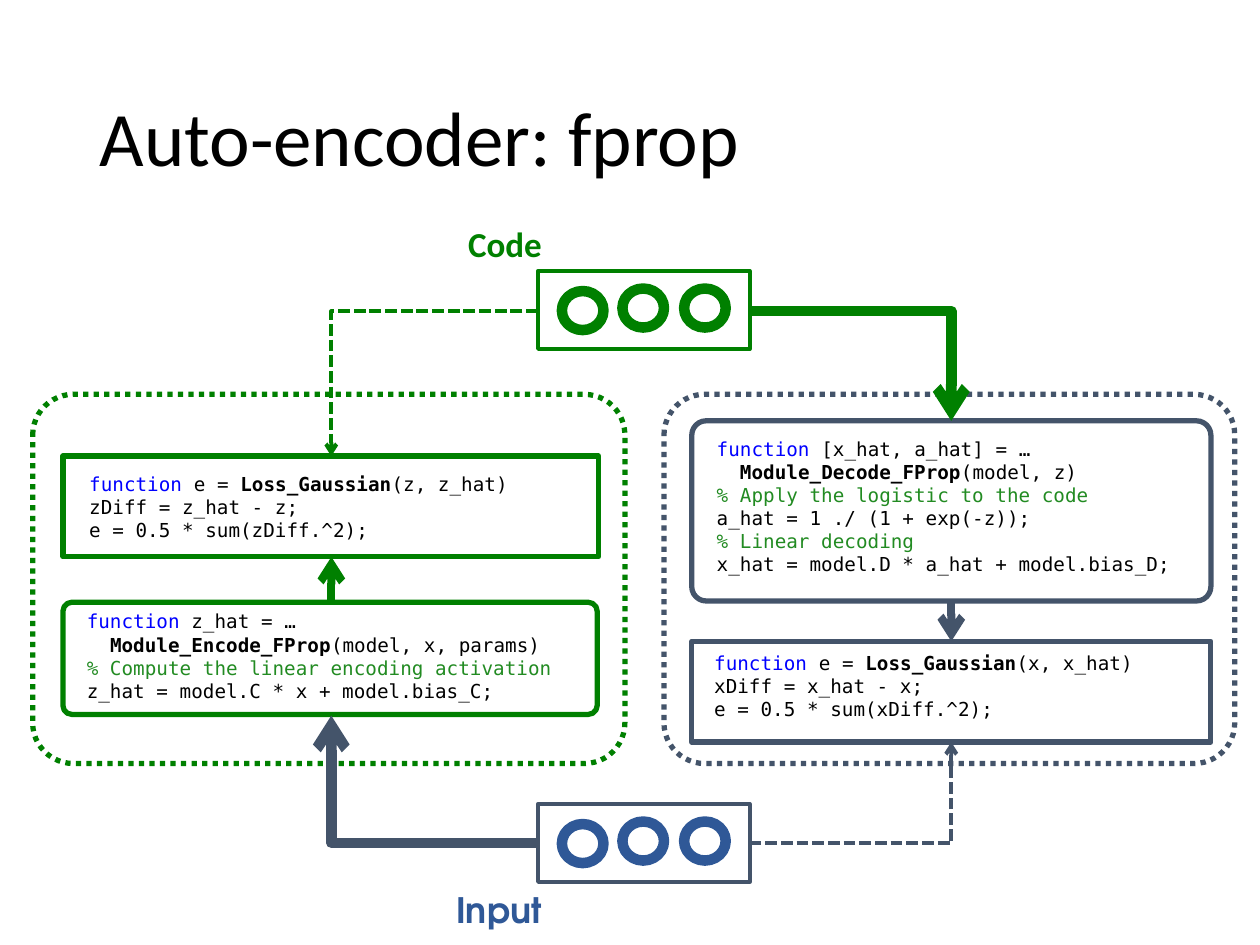
from dataclasses import dataclass

from lxml import etree
from pptx import Presentation
from pptx.dml.color import RGBColor
from pptx.enum import dml, shapes, text
from pptx.oxml.ns import qn
from pptx.util import Inches, Pt


@dataclass(frozen=True)
class Theme:
    black: RGBColor = RGBColor(0, 0, 0)
    green: RGBColor = RGBColor(0x00, 0x80, 0x00)
    slate: RGBColor = RGBColor(0x44, 0x54, 0x6A)
    blue: RGBColor = RGBColor(0x2F, 0x58, 0x97)
    keyword: RGBColor = RGBColor(0x00, 0x00, 0xFF)
    comment: RGBColor = RGBColor(0x22, 0x8B, 0x22)
    title_size: int = 44
    label_size: int = 20
    code_size: int = 11
    sans: str = "Calibri"
    geometric: str = "TeX Gyre Adventor"
    mono: str = "DejaVu Sans Mono"


theme = Theme()
RECT = shapes.MSO_SHAPE.RECTANGLE
ROUND = shapes.MSO_SHAPE.ROUNDED_RECTANGLE
OVAL = shapes.MSO_SHAPE.OVAL
DOTS = dml.MSO_LINE.ROUND_DOT  # written to the file as sysDot
DASHES = dml.MSO_LINE.SQUARE_DOT  # changed to sysDash below


def add_outline(parent, kind, box, color, width, radius=None):
    """Add an unfilled shape; radius is the corner adjustment."""
    shape = parent.add_shape(kind, *map(Inches, box))
    shape.shadow.inherit = False
    shape.fill.background()
    shape.line.color.rgb = color
    shape.line.width = Pt(width)
    if radius is not None:
        shape.adjustments[0] = radius
    return shape


def add_run(paragraph, words, font_name, size, color, bold=False):
    run = paragraph.add_run()
    run.text = words
    run.font.name = font_name
    run.font.size = Pt(size)
    run.font.color.rgb = color
    run.font.bold = bold


presentation = Presentation()
presentation.slide_width = Inches(10)
presentation.slide_height = Inches(7.5)
slide = presentation.slides.add_slide(presentation.slide_layouts[5])

title = slide.shapes.title
title.left, title.top, title.width, title.height = map(Inches, (0.69, 0.4, 8.62, 1.45))
title.text_frame.vertical_anchor = text.MSO_ANCHOR.MIDDLE
paragraph = title.text_frame.paragraphs[0]
paragraph.alignment = text.PP_ALIGN.LEFT
paragraph.line_spacing = 0.9
add_run(paragraph, "Auto-encoder: fprop", theme.sans, theme.title_size, theme.black)

# Encoder and decoder panels, each around a module and a loss
for box, color in [
    ((0.26, 3.13, 4.7, 2.93), theme.green),
    ((5.27, 3.13, 4.53, 2.93), theme.slate),
]:
    panel = add_outline(slide.shapes, ROUND, box, color, 3, radius=0.11)
    panel.line.dash_style = DOTS

for kind, box, color, radius in [
    (ROUND, (0.5, 4.78, 4.24, 0.89), theme.green, 0.08),
    (RECT, (0.5, 3.62, 4.25, 0.8), theme.green, None),
    (ROUND, (5.49, 3.34, 4.12, 1.43), theme.slate, 0.08),
    (RECT, (5.49, 5.09, 4.12, 0.8), theme.slate, None),
]:
    add_outline(slide.shapes, kind, box, color, 3, radius)

# Arrows: bent ones leave sideways and arrive vertically
for start, end, color, width, dashed in [
    ((2.63, 4.78), (2.63, 4.42), theme.green, 4.5, False),
    ((4.27, 6.69), (2.63, 5.68), theme.slate, 6, False),
    ((4.27, 2.47), (2.63, 3.62), theme.green, 2.25, True),
    ((5.95, 6.69), (7.55, 5.89), theme.slate, 2.25, True),
    ((5.95, 2.47), (7.55, 3.34), theme.green, 6, False),
    ((7.55, 4.77), (7.55, 5.09), theme.slate, 4.5, False),
]:
    bent = start[0] != end[0]
    kind = shapes.MSO_CONNECTOR.ELBOW if bent else shapes.MSO_CONNECTOR.STRAIGHT
    arrow = slide.shapes.add_connector(kind, *map(Inches, start + end))
    arrow.line.color.rgb = color
    arrow.line.width = Pt(width)
    properties = arrow._element.spPr
    if bent:
        properties.find(qn("a:prstGeom")).set("prst", "bentConnector2")
    line = properties.find(qn("a:ln"))
    if dashed:
        arrow.line.dash_style = DASHES
        line.find(qn("a:prstDash")).set("val", "sysDash")
    etree.SubElement(line, qn("a:tailEnd"), type="arrow")
    etree.SubElement(properties, qn("a:effectLst"))

# Layers of three units
for top, unit_color, frame_color in [
    (2.15, theme.green, theme.green),
    (6.38, theme.blue, theme.slate),
]:
    layer = slide.shapes.add_group_shape().shapes
    for left, drop in [(4.46, 0.16), (4.94, 0.14), (5.43, 0.14)]:
        add_outline(layer, OVAL, (left, top + drop, 0.33, 0.31), unit_color, 6)
    add_outline(layer, RECT, (4.27, top, 1.68, 0.62), frame_color, 2.25)

for words, box, font_name, color in [
    ("Code", (3.44, 1.72, 0.96, 0.44), theme.sans, theme.green),
    ("Input", (3.51, 7, 0.89, 0.44), theme.geometric, theme.blue),
]:
    frame = slide.shapes.add_textbox(*map(Inches, box)).text_frame
    frame.word_wrap = False
    frame.auto_size = text.MSO_AUTO_SIZE.SHAPE_TO_FIT_TEXT
    paragraph = frame.paragraphs[0]
    paragraph.alignment = text.PP_ALIGN.RIGHT
    add_run(paragraph, words, font_name, theme.label_size, color, bold=True)

# Code listings: the signature as (before name, name, arguments), then the body
for box, before, name, arguments, body in [
    ((5.59, 3.42, 3.87, 1.21), " [x_hat, a_hat] = …\n  ", "Module_Decode_FProp", "(model, z)",
     ["% Apply the logistic to the code", "a_hat = 1 ./ (1 + exp(-z));",
      "% Linear decoding", "x_hat = model.D * a_hat + model.bias_D;"]),
    ((0.59, 4.79, 4.15, 0.84), " z_hat = …\n  ", "Module_Encode_FProp", "(model, x, params)",
     ["% Compute the linear encoding activation", "z_hat = model.C * x + model.bias_C;"]),
    ((0.61, 3.7, 3.84, 0.66), " e = ", "Loss_Gaussian", "(z, z_hat)",
     ["zDiff = z_hat - z;", "e = 0.5 * sum(zDiff.^2);"]),
    ((5.57, 5.12, 3.84, 0.66), " e = ", "Loss_Gaussian", "(x, x_hat)",
     ["xDiff = x_hat - x;", "e = 0.5 * sum(xDiff.^2);"]),
]:
    frame = slide.shapes.add_textbox(*map(Inches, box)).text_frame
    frame.word_wrap = True
    frame.auto_size = text.MSO_AUTO_SIZE.SHAPE_TO_FIT_TEXT
    paragraph = frame.paragraphs[0]
    add_run(paragraph, "function", theme.mono, theme.code_size, theme.keyword)
    for index, piece in enumerate(before.split("\n")):
        if index:
            paragraph.add_line_break()
        add_run(paragraph, piece, theme.mono, theme.code_size, theme.black)
    add_run(paragraph, name, theme.mono, theme.code_size, theme.black, bold=True)
    add_run(paragraph, arguments, theme.mono, theme.code_size, theme.black)
    for statement in body:
        color = theme.comment if statement.startswith("%") else theme.black
        add_run(frame.add_paragraph(), statement, theme.mono, theme.code_size, color)

presentation.save("out.pptx")
